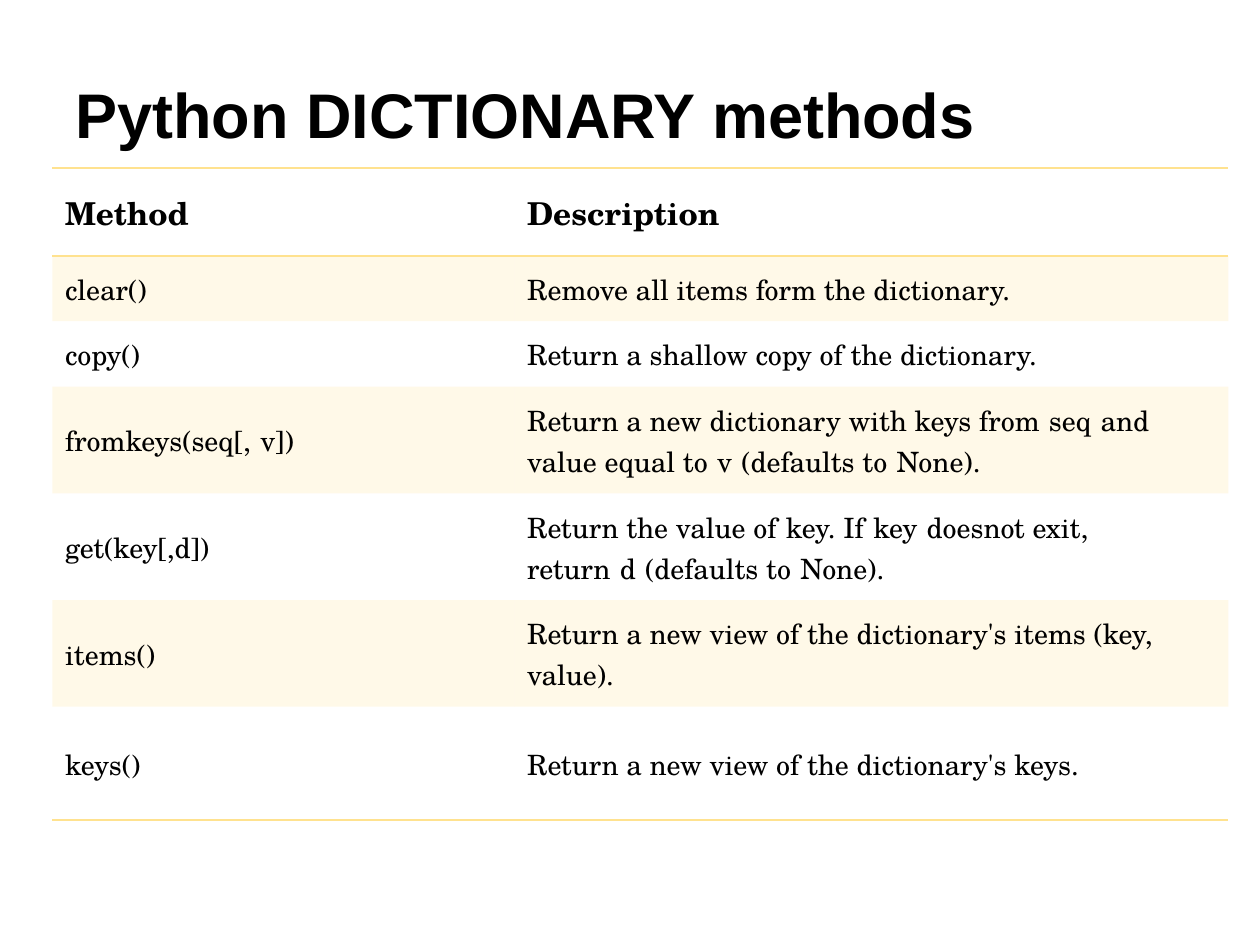
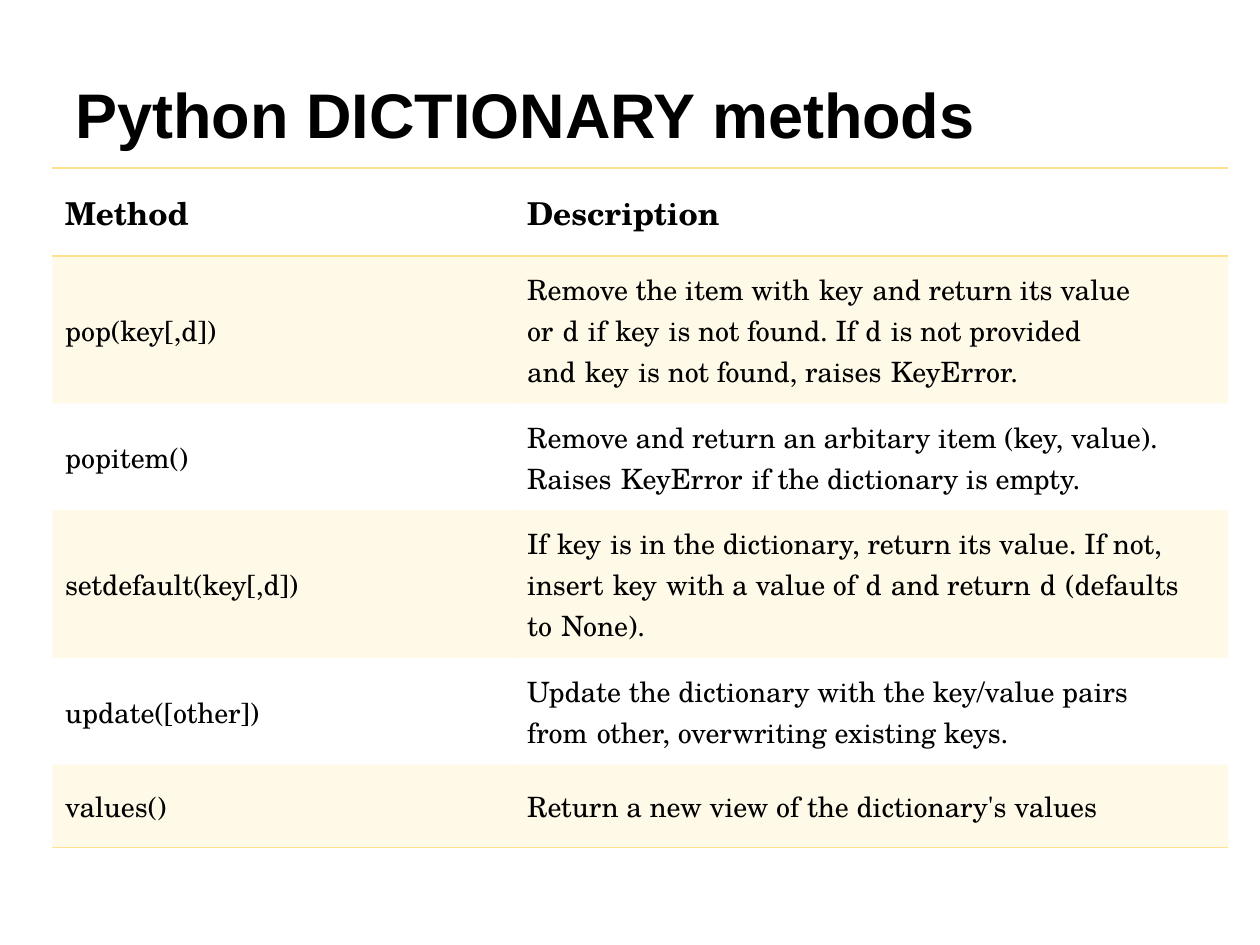
import pptx
import pptx.util
import pptx.dml.color
import pptx.enum.text
import pptx.oxml.ns
import lxml.etree

Pt = pptx.util.Pt
RGBColor = pptx.dml.color.RGBColor
Anchor = pptx.enum.text.MSO_ANCHOR
qn = pptx.oxml.ns.qn

TITLE = "Python DICTIONARY methods"
HEAD = ("Method", "Description")
HARD = "~"
PAGES = [
    [
        ("clear()", "Remove all items form the dictionary.", 37.4),
        ("copy()", "Return a shallow copy of the dictionary.", 37.4),
        ("fromkeys(seq[,~v])",
         "Return a new dictionary with keys from~seq~and value equal to~v~(defaults to~None).", 61),
        ("get(key[,d])",
         "Return the value of~key. If~key~doesnot exit, return~d~(defaults to~None).", 61),
        ("items()", "Return a new view of the dictionary's items (key, value).", 61),
        ("keys()", "Return a new view of the dictionary's keys.", 64.8),
    ],
    [
        ("pop(key[,d])",
         "Remove the item with~key~and return its value or~d~if~key~is not found. "
         "If~d~is not provided and~key~is not found, raises~KeyError.", 84.4),
        ("popitem()",
         "Remove and return an arbitary item (key, value). "
         "Raises~KeyError~if the dictionary is empty.", 61),
        ("setdefault(key[,d])",
         "If~key~is in the dictionary, return its value. If not, "
         "insert~key~with a value of~d~and return~d~(defaults to~None).", 84.4),
        ("update([other])",
         "Update the dictionary with the key/value pairs from~other, overwriting existing keys.", 61),
        ("values()", "Return a new view of the dictionary's values", 47.5),
    ],
]

BLACK = RGBColor(0x00, 0x00, 0x00)
GOLD = RGBColor(0xFF, 0xE2, 0x8F)
SANS = "Arial"
SERIF = "TeX Gyre Schola"
PLAIN = "{2D5ABB26-0587-4C30-8999-92F81FD0307C}"
LEFT, TOP = 30, 96
COLS = (264, 408)
HEAD_H = 49.7


def style(frame, font, size, bold):
    for run in frame.paragraphs[0].runs:
        run.font.name = font
        run.font.size = Pt(size)
        run.font.bold = bold
        run.font.color.rgb = BLACK


def add_solid(parent, alpha=None):
    fill = lxml.etree.SubElement(parent, qn("a:solidFill"))
    color = lxml.etree.SubElement(fill, qn("a:srgbClr"), val=str(GOLD))
    if alpha:
        lxml.etree.SubElement(color, qn("a:alpha"), val=str(alpha * 1000))


def add_rule(cell, side):
    props = cell._tc.get_or_add_tcPr()
    line = lxml.etree.SubElement(props, qn("a:ln" + side), w=str(Pt(1)))
    add_solid(line)


def fill_cell(cell, text, head, band, sides):
    cell.text_frame.text = text.replace(HARD, chr(160))
    style(cell.text_frame, SERIF, 18 if head else 16, head)
    cell.vertical_anchor = Anchor.MIDDLE
    cell.margin_left, cell.margin_right = Pt(7.2), Pt(6)
    cell.margin_top, cell.margin_bottom = (Pt(11.5), Pt(10.8)) if head else (Pt(7.2), Pt(6.5))
    for side in sides:
        add_rule(cell, side)
    if band:
        add_solid(cell._tc.get_or_add_tcPr(), 20)
    else:
        cell.fill.background()


def add_title(slide):
    title = slide.shapes.title
    title.left, title.top, title.width, title.height = Pt(36), Pt(6), Pt(534), Pt(84)
    frame = title.text_frame
    frame.text = TITLE
    frame.auto_size = pptx.enum.text.MSO_AUTO_SIZE.NONE
    frame.vertical_anchor = Anchor.BOTTOM
    frame.paragraphs[0].alignment = pptx.enum.text.PP_ALIGN.LEFT
    style(frame, SANS, 36, True)


def add_grid(slide, items):
    rows = [(*HEAD, HEAD_H)] + items
    total = sum(row[-1] for row in rows)
    frame = slide.shapes.add_table(len(rows), len(COLS), Pt(LEFT), Pt(TOP),
                                   Pt(sum(COLS)), Pt(total))
    table = frame.table
    table.first_row = table.horz_banding = False
    table._tbl.tblPr.find(qn("a:tableStyleId")).text = PLAIN
    for col, width in zip(table.columns, COLS):
        col.width = Pt(width)
    for r, (*texts, height) in enumerate(rows):
        table.rows[r].height = Pt(height)
        sides = "TB" if r == 0 else "B" if r == len(items) else ""
        for c, text in enumerate(texts):
            fill_cell(table.cell(r, c), text, r == 0, r % 2 == 1, sides)


def main():
    deck = pptx.Presentation()
    deck.slide_width, deck.slide_height = Pt(720), Pt(540)
    for items in PAGES:
        slide = deck.slides.add_slide(deck.slide_layouts[5])
        add_title(slide)
        add_grid(slide, items)
    deck.save("out.pptx")


if __name__ == "__main__":
    main()
